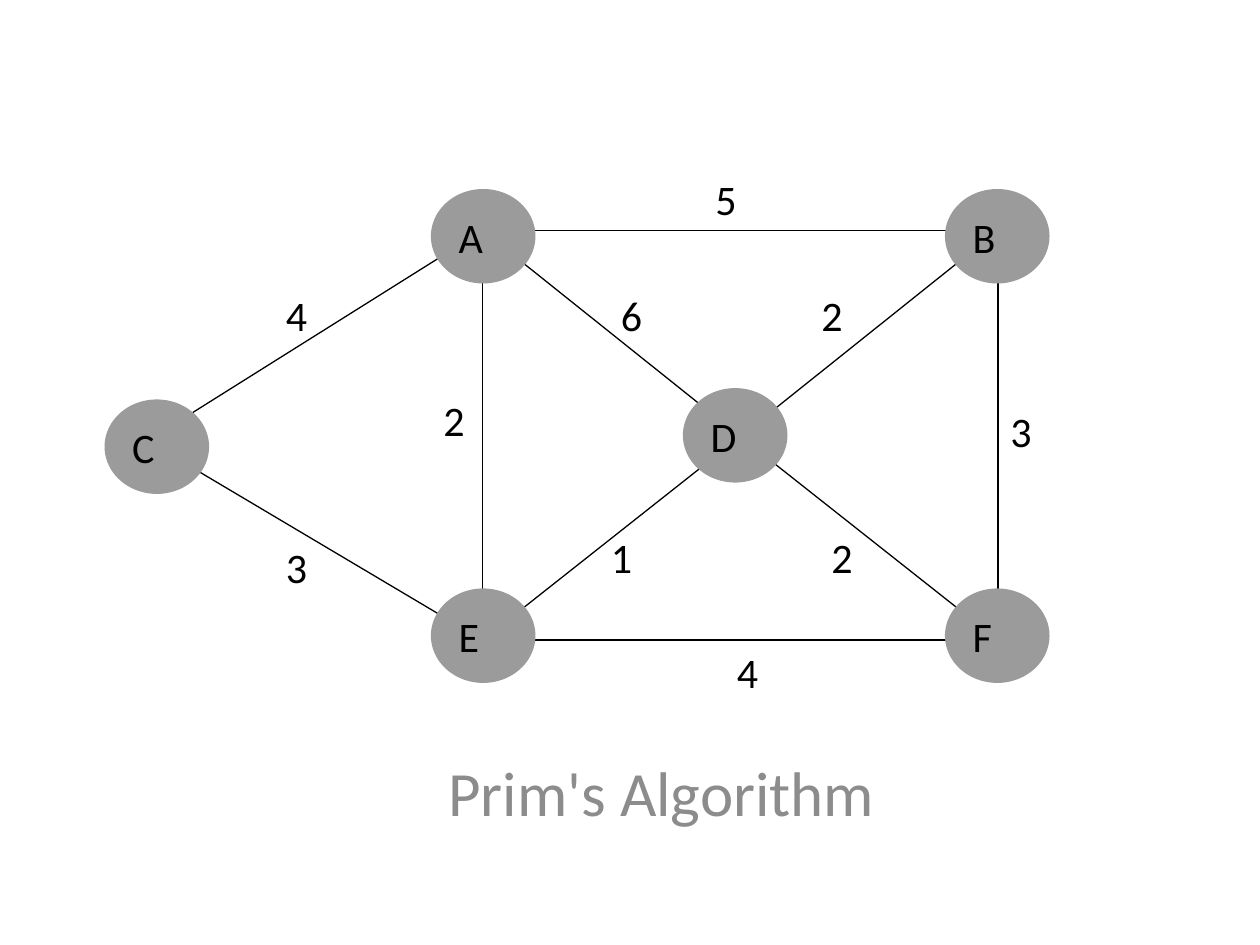
from typing import NamedTuple

from lxml import etree
from pptx import Presentation
from pptx import util as u
from pptx.dml.color import RGBColor
from pptx.enum import shapes, text
from pptx.oxml.ns import qn

FONT = "Calibri"
BLACK, NODE_GREY, TITLE_GREY = "000000", "9B9B9B", "8C8C8C"
NODE_WIDTH, NODE_HEIGHT = 0.83, 0.75
WEIGHT_SIZE = 0.5


class Node(NamedTuple):
    left: float
    top: float
    joint_x: float
    joint_y: float


class Edge(NamedTuple):
    start: str
    end: str
    weight: str
    label_left: float
    label_top: float
    end_shift: float = 0


NODES = {
    "C": Node(0.83, 3.17, 1.17, 3.5),
    "F": Node(7.5, 4.67, 7.92, 5.08),
    "E": Node(3.42, 4.67, 3.83, 5.08),
    "A": Node(3.42, 1.5, 3.83, 1.83),
    "B": Node(7.5, 1.5, 7.92, 1.83),
    "D": Node(5.42, 3.08, 5.83, 3.5),
}
EDGES = [
    Edge("E", "F", "4", 5.75, 5.08),
    Edge("F", "B", "3", 7.92, 3.17),
    Edge("B", "A", "5", 5.58, 1.33),
    Edge("A", "E", "2", 3.42, 3.08),
    Edge("F", "D", "2", 6.5, 4.17, end_shift=0.09),
    Edge("A", "D", "6", 4.83, 2.25, end_shift=0.09),
    Edge("E", "D", "1", 4.75, 4.17),
    Edge("B", "D", "2", 6.42, 2.25),
    Edge("A", "C", "4", 2.17, 2.25),
    Edge("E", "C", "3", 2.17, 4.25),
]


def color(value: str) -> RGBColor:
    return RGBColor.from_string(value)


def write(shape, words: str, size: float, ink: str, align, anchor) -> None:
    frame = shape.text_frame
    frame.word_wrap = True
    frame.vertical_anchor = anchor
    para = frame.paragraphs[0]
    para.text = words
    para.alignment = align
    para.font.name = FONT
    para.font.size = u.Pt(size)
    para.font.color.rgb = color(ink)


def draw_edge(graph, edge: Edge) -> None:
    start, end = NODES[edge.start], NODES[edge.end]
    line = graph.shapes.add_connector(
        shapes.MSO_CONNECTOR.STRAIGHT,
        u.Inches(start.joint_x), u.Inches(start.joint_y),
        u.Inches(end.joint_x + edge.end_shift), u.Inches(end.joint_y))
    line.line.color.rgb = color(BLACK)
    line.line.width = u.Pt(0.75)
    etree.SubElement(line._element.spPr, qn("a:effectLst"))


def draw_node(graph, name: str, node: Node) -> None:
    oval = graph.shapes.add_shape(
        shapes.MSO_SHAPE.OVAL, u.Inches(node.left), u.Inches(node.top),
        u.Inches(NODE_WIDTH), u.Inches(NODE_HEIGHT))
    oval.shadow.inherit = False
    oval.fill.solid()
    oval.fill.fore_color.rgb = color(NODE_GREY)
    oval.line.fill.background()
    write(oval, name, 24, BLACK, text.PP_ALIGN.LEFT, text.MSO_ANCHOR.MIDDLE)


def draw_weight(graph, edge: Edge) -> None:
    box = graph.shapes.add_textbox(
        u.Inches(edge.label_left), u.Inches(edge.label_top),
        u.Inches(WEIGHT_SIZE), u.Inches(WEIGHT_SIZE))
    write(box, edge.weight, 24, BLACK, text.PP_ALIGN.LEFT, text.MSO_ANCHOR.TOP)


def main() -> None:
    deck = Presentation()
    deck.slide_width, deck.slide_height = u.Inches(10), u.Inches(7.5)
    page = deck.slides.add_slide(deck.slide_layouts[6])

    title = page.shapes.add_textbox(
        u.Inches(2.5), u.Inches(6.08), u.Inches(5.5), u.Inches(0.4))
    write(title, "Prim's Algorithm", 36, TITLE_GREY,
          text.PP_ALIGN.CENTER, text.MSO_ANCHOR.MIDDLE)

    graph = page.shapes.add_group_shape()
    for edge in EDGES:
        draw_edge(graph, edge)
    for name, node in NODES.items():
        draw_node(graph, name, node)
    for edge in EDGES:
        draw_weight(graph, edge)

    deck.save("out.pptx")


if __name__ == "__main__":
    main()
